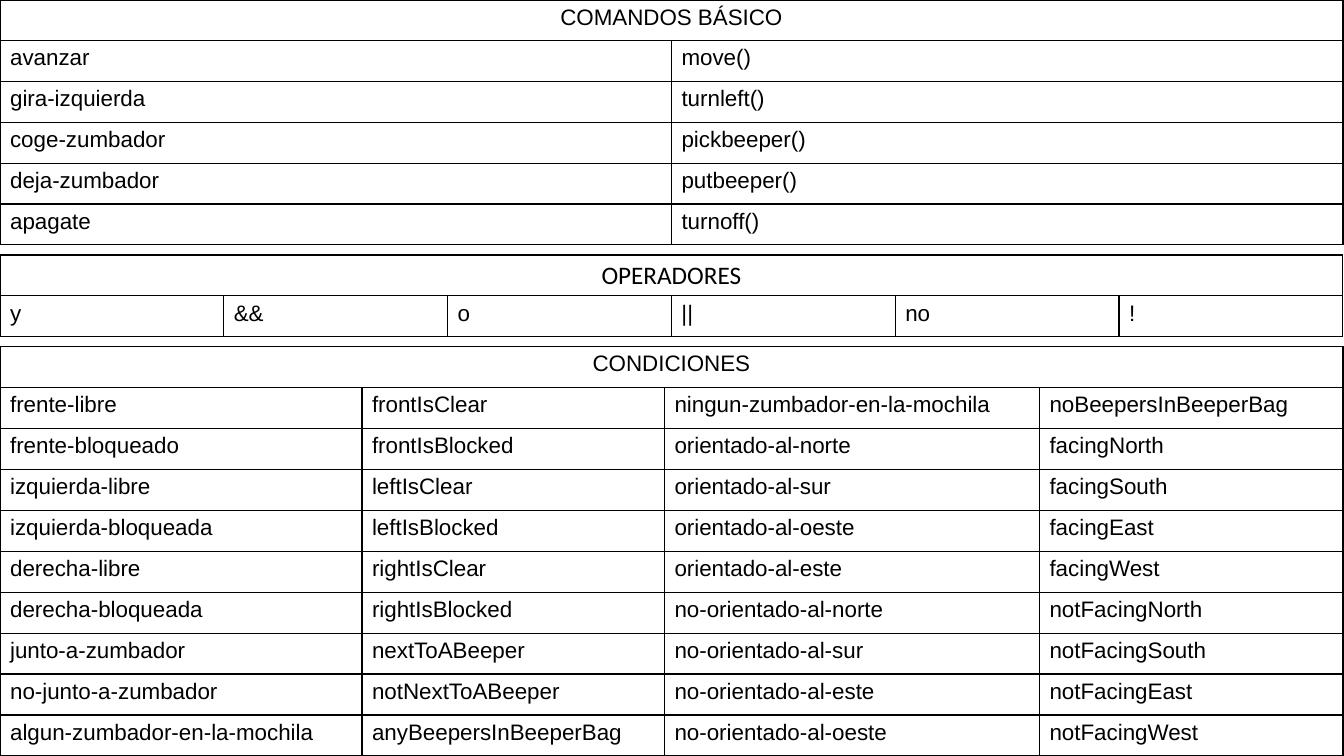
from lxml.etree import SubElement
from pptx import Presentation
from pptx.dml.color import RGBColor
from pptx.enum.text import PP_ALIGN
from pptx.oxml.ns import qn
from pptx.util import Inches, Pt

BLACK = RGBColor(0, 0, 0)
WHITE = RGBColor(255, 255, 255)

COMMANDS = [
    ["avanzar", "move()"],
    ["gira-izquierda", "turnleft()"],
    ["coge-zumbador", "pickbeeper()"],
    ["deja-zumbador", "putbeeper()"],
    ["apagate", "turnoff()"],
]
OPERATORS = [["y", "&&", "o", "||", "no", "!"]]
CONDITIONS = [
    ["frente-libre", "frontIsClear", "ningun-zumbador-en-la-mochila", "noBeepersInBeeperBag"],
    ["frente-bloqueado", "frontIsBlocked", "orientado-al-norte", "facingNorth"],
    ["izquierda-libre", "leftIsClear", "orientado-al-sur", "facingSouth"],
    ["izquierda-bloqueada", "leftIsBlocked", "orientado-al-oeste", "facingEast"],
    ["derecha-libre", "rightIsClear", "orientado-al-este", "facingWest"],
    ["derecha-bloqueada", "rightIsBlocked", "no-orientado-al-norte", "notFacingNorth"],
    ["junto-a-zumbador", "nextToABeeper", "no-orientado-al-sur", "notFacingSouth"],
    ["no-junto-a-zumbador", "notNextToABeeper", "no-orientado-al-este", "notFacingEast"],
    ["algun-zumbador-en-la-mochila", "anyBeepersInBeeperBag", "no-orientado-al-oeste", "notFacingWest"],
]

BODY_FONT = {"name": "Arial", "size": Pt(16)}
OPERATORS_FONT = {"name": "Calibri", "size": Pt(18)}

# title, title font, top, height, column widths, rows
TABLES = [
    ("COMANDOS BÁSICO", BODY_FONT, 0, 2.43, [6.66] * 2, COMMANDS),
    ("CONDICIONES", BODY_FONT, 3.44, 4.06, [3.59, 3, 3.72, 3.01], CONDITIONS),
    ("OPERADORES", OPERATORS_FONT, 2.53, 0.81, [2.22] * 6, OPERATORS),
]


def style_cell(cell):
    """Give a cell a white fill and thin black borders on all sides."""
    tcPr = cell._tc.get_or_add_tcPr()
    for side in ("a:lnL", "a:lnR", "a:lnT", "a:lnB"):
        ln = SubElement(tcPr, qn(side), w=str(Pt(1)))
        fill = SubElement(ln, qn("a:solidFill"))
        SubElement(fill, qn("a:srgbClr"), val=str(BLACK))
    cell.fill.solid()
    cell.fill.fore_color.rgb = WHITE


def write_cell(cell, text, font, align):
    """Put formatted text in a cell."""
    p = cell.text_frame.paragraphs[0]
    p.alignment = align
    r = p.add_run()
    r.text = text
    for name, value in font.items():
        setattr(r.font, name, value)
    r.font.bold = False
    r.font.color.rgb = BLACK


prs = Presentation()
prs.slide_width, prs.slide_height = Inches(13.33), Inches(7.5)
s = prs.slides.add_slide(prs.slide_layouts[6])

for title, title_font, top, height, widths, rows in TABLES:
    frame = s.shapes.add_table(len(rows) + 1, len(widths), 0, Inches(top),
                               Inches(sum(widths)), Inches(height))
    table = frame.table
    table.first_row = table.horz_banding = False
    for column, width in zip(table.columns, widths):
        column.width = Inches(width)
    for cell in table.iter_cells():
        style_cell(cell)

    table.cell(0, 0).merge(table.cell(0, len(widths) - 1))
    write_cell(table.cell(0, 0), title, title_font, PP_ALIGN.CENTER)
    for i, row in enumerate(rows, 1):
        for j, text in enumerate(row):
            write_cell(table.cell(i, j), text, BODY_FONT, PP_ALIGN.LEFT)

prs.save("out.pptx")
